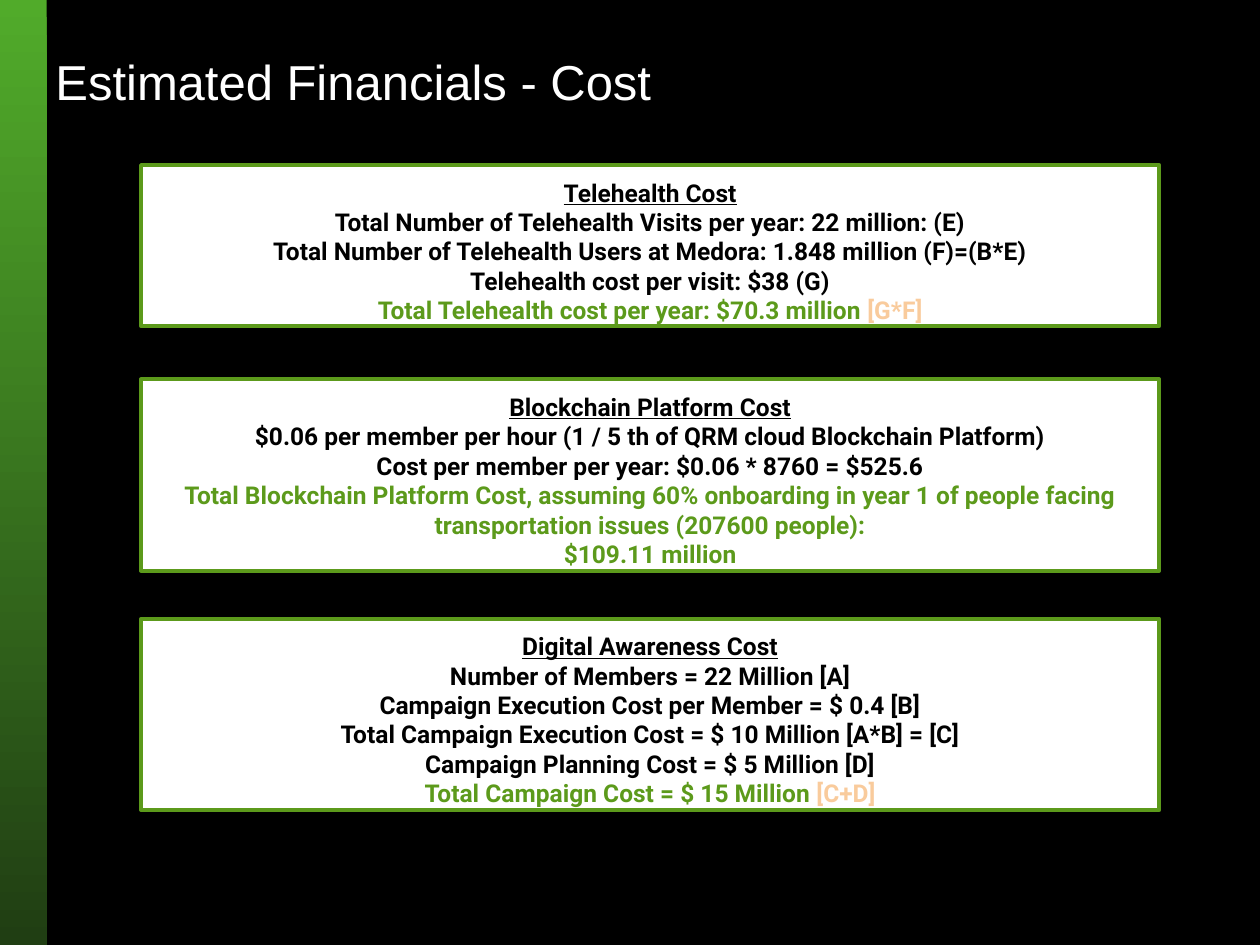
from pptx import Presentation
from pptx import util as u
from pptx.dml import color
from pptx.enum import shapes, text

COLORS = {
    "background": "000000",
    "bar_top": "51AB2A",
    "bar_bottom": "203E13",
    "card": "FFFFFF",
    "title": "FFFFFF",
    "body": "000000",
    "green": "5C9A1B",
    "peach": "F9CB9C",
}

CARDS = [
    (1.31, 1.28, "Telehealth Cost", [
        [("Total Number of Telehealth Visits per year: 22 million: (E)", "body")],
        [("Total Number of Telehealth Users at Medora: 1.848 million (F)=(B*E)", "body")],
        [("Telehealth cost per visit: $38 (G)", "body")],
        [("Total Telehealth cost per year: $70.3 million ", "green"), ("[G*F]", "peach")],
    ]),
    (3.01, 1.52, "Blockchain Platform Cost", [
        [("$0.06 per member per hour (1 / 5 th of QRM cloud Blockchain Platform)", "body")],
        [("Cost per member per year: $0.06 * 8760 = $525.6", "body")],
        [("Total Blockchain Platform Cost, assuming 60% onboarding in year 1 of people "
          "facing transportation issues (207600 people):", "green")],
        [("$109.11 million", "green")],
    ]),
    (4.91, 1.52, "Digital Awareness Cost", [
        [("Number of Members = 22 Million [A]", "body")],
        [("Campaign Execution Cost per Member = $ 0.4 [B]", "body")],
        [("Total Campaign Execution Cost = $ 10 Million [A*B] = [C]", "body")],
        [("Campaign Planning Cost = $ 5 Million [D]", "body")],
        [("Total Campaign Cost = $ 15 Million", "green"), (" [C+D]", "peach")],
    ]),
]


def rgb(name):
    return color.RGBColor.from_string(COLORS[name])


class CostSlide:
    title_font = "Arial"
    body_font = "Roboto"
    title_size = u.Pt(28)
    body_size = u.Pt(14)
    inset = u.Inches(0.1)

    def __init__(self, deck):
        self.slide = deck.slides.add_slide(deck.slide_layouts[5])
        fill = self.slide.background.fill
        fill.solid()
        fill.fore_color.rgb = rgb("background")

    def frame(self, shape, top_inset):
        frame = shape.text_frame
        frame.word_wrap = True
        frame.auto_size = text.MSO_AUTO_SIZE.NONE
        frame.vertical_anchor = text.MSO_ANCHOR.TOP
        frame.margin_left = frame.margin_right = frame.margin_bottom = self.inset
        frame.margin_top = top_inset
        return frame

    def span(self, para, words, font, size, shade, bold=False, underline=False):
        span = para.add_run()
        span.text = words
        span.font.name = font
        span.font.size = size
        span.font.bold = bold
        span.font.underline = underline
        span.font.color.rgb = rgb(shade)

    def rectangle(self, left, top, width, height):
        box = self.slide.shapes.add_shape(
            shapes.MSO_SHAPE.RECTANGLE,
            u.Inches(left), u.Inches(top), u.Inches(width), u.Inches(height))
        box.shadow.inherit = False
        return box

    def side_bar(self):
        bar = self.rectangle(0, 0, 0.37, 7.5)
        bar.fill.gradient()
        bar.fill.gradient_angle = 270
        for stop, shade in zip(bar.fill.gradient_stops, ("bar_top", "bar_bottom")):
            stop.color.rgb = rgb(shade)
        bar.line.fill.background()

    def title(self, words):
        box = self.slide.shapes.title
        box.left, box.top = u.Inches(0.34), u.Inches(0.27)
        box.width, box.height = u.Inches(9.32), u.Inches(0.83)
        para = self.frame(box, u.Inches(0.14)).paragraphs[0]
        para.alignment = text.PP_ALIGN.LEFT
        self.span(para, words, self.title_font, self.title_size, "title")

    def card(self, top, height, heading, lines):
        box = self.rectangle(1.12, top, 8.08, height)
        box.fill.solid()
        box.fill.fore_color.rgb = rgb("card")
        box.line.color.rgb = rgb("green")
        box.line.width = u.Pt(2.25)
        frame = self.frame(box, self.inset)
        for index, line in enumerate([[(heading, "body")]] + lines):
            para = frame.add_paragraph() if index else frame.paragraphs[0]
            para.alignment = text.PP_ALIGN.CENTER
            for words, shade in line:
                self.span(para, words, self.body_font, self.body_size, shade,
                          bold=True, underline=index == 0)


def main():
    deck = Presentation()
    deck.slide_width, deck.slide_height = u.Inches(10), u.Inches(7.5)
    page = CostSlide(deck)
    page.side_bar()
    page.title("Estimated Financials - Cost")
    for card in CARDS:
        page.card(*card)
    deck.save("out.pptx")


if __name__ == "__main__":
    main()
